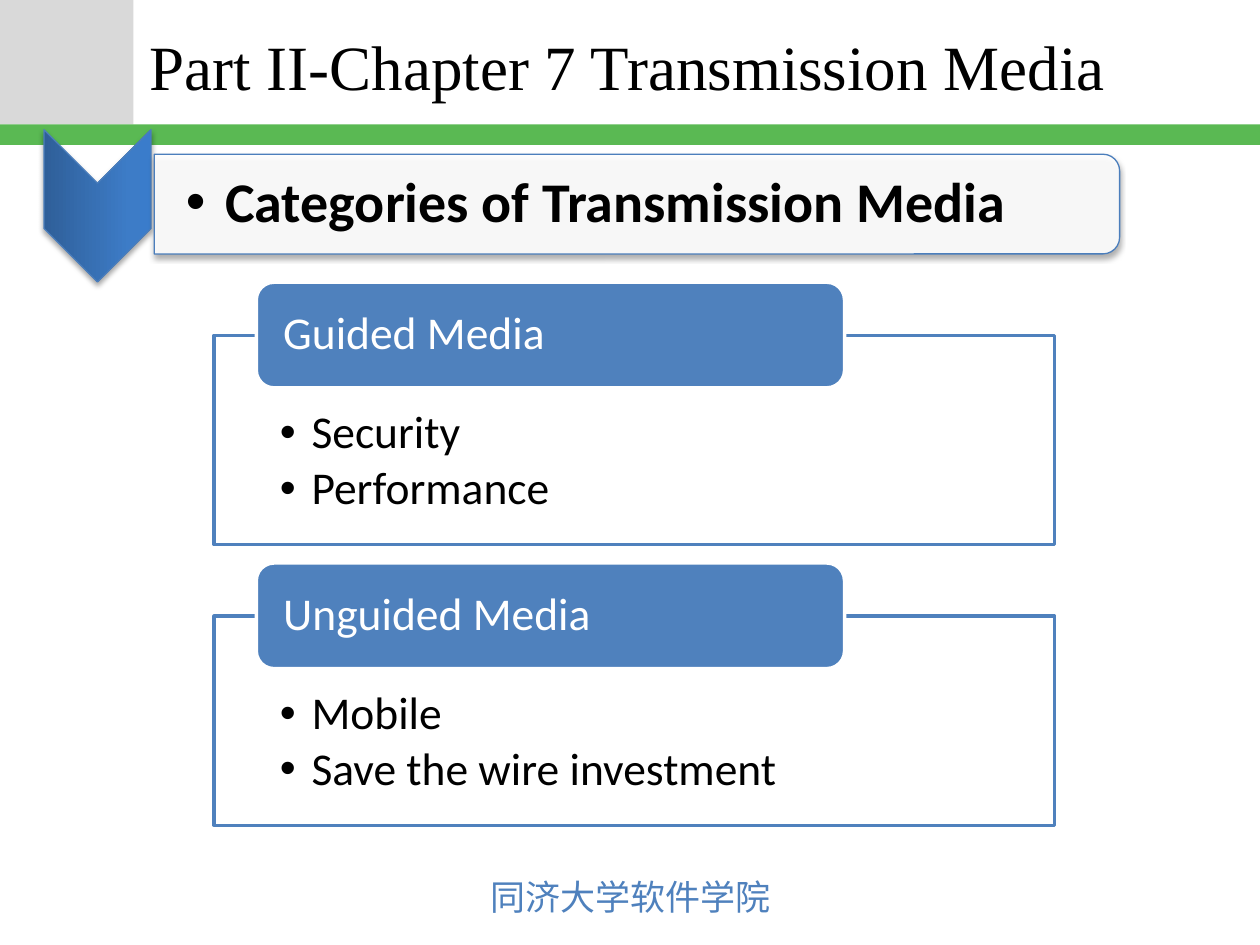
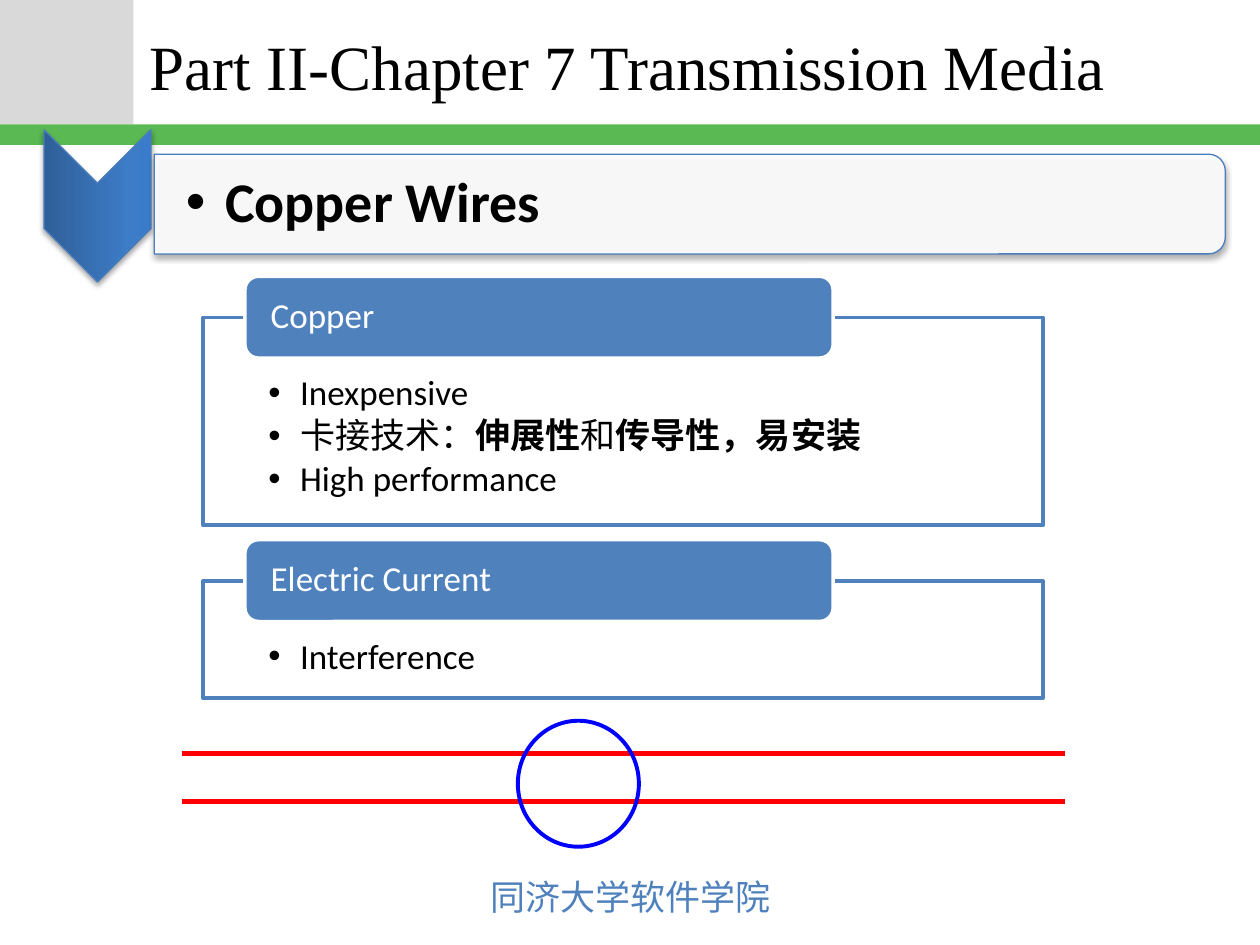
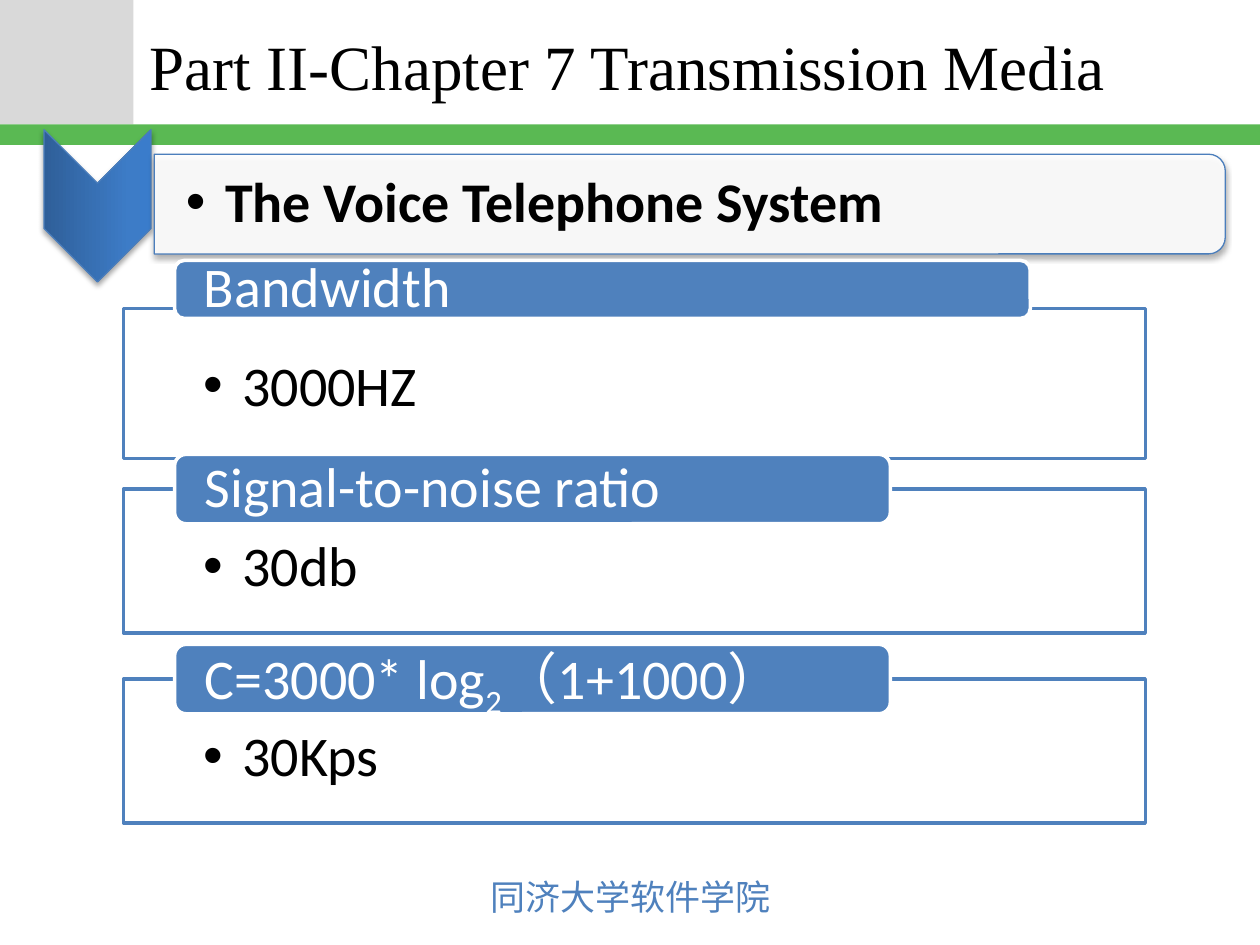
from copy import deepcopy

from lxml import etree
from pptx import Presentation
from pptx.dml.color import RGBColor
from pptx.enum.shapes import MSO_CONNECTOR, MSO_SHAPE
from pptx.enum.text import MSO_ANCHOR, MSO_AUTO_SIZE, PP_ALIGN
from pptx.oxml.ns import qn
from pptx.util import Cm, Pt

RECT = MSO_SHAPE.RECTANGLE
ROUND = MSO_SHAPE.ROUNDED_RECTANGLE
TAB = MSO_SHAPE.ROUND_2_SAME_RECTANGLE
CHEVRON = MSO_SHAPE.CHEVRON
OVAL = MSO_SHAPE.OVAL
STRAIGHT = MSO_CONNECTOR.STRAIGHT
LEFT, CENTER = PP_ALIGN.LEFT, PP_ALIGN.CENTER
TOP, MIDDLE = MSO_ANCHOR.TOP, MSO_ANCHOR.MIDDLE
FIXED = MSO_AUTO_SIZE.NONE

BLACK, WHITE = "000000", "FFFFFF"
GREY, GREEN = "D9D9D9", "5AB953"
BLUE, EDGE = "4F81BD", "4B7EBC"
WIRE, RING = "FF0000", "0000FF"
SHADES = ((0, "2F5F99"), (0.8, "3D7CC7"), (1, "3A7CCB"))
BODY, SERIF, HAN = "Calibri", "Times New Roman", "Noto Sans CJK JP"

TITLE = "Part II-Chapter 7 Transmission Media"
SCHOOL = "同济大学软件学院"


def color(code):
    return RGBColor.from_string(code)


def sub(parent, tag, **attrs):
    """Append an XML child with the given attributes."""
    node = etree.SubElement(parent, qn(tag))
    for key, value in attrs.items():
        node.set(key, str(value))
    return node


def draw(slide, kind, box, fill=None, line=None, width=2):
    shape = slide.shapes.add_shape(kind, *map(Cm, box))
    shape.shadow.inherit = False
    if fill:
        shape.fill.solid()
        shape.fill.fore_color.rgb = color(fill)
    else:
        shape.fill.background()
    if line:
        shape.line.color.rgb = color(line)
        shape.line.width = Pt(width)
    else:
        shape.line.fill.background()
    return shape


def veil(shape):
    """Make a solid fill 90 percent opaque."""
    fill = shape._element.spPr.find(qn("a:solidFill"))
    sub(fill[0], "a:alpha", val=90000)


def shade(shape):
    """Add a soft shadow that falls straight down."""
    effects = shape._element.spPr.find(qn("a:effectLst"))
    shadow = sub(effects, "a:outerShdw", blurRad=40000, dist=23000,
                 dir=5400000, rotWithShape=0)
    sub(sub(shadow, "a:srgbClr", val=BLACK), "a:alpha", val=35000)


def setup(frame, pads=(0, 0, 0, 0), anchor=TOP):
    frame.word_wrap = True
    frame.auto_size = FIXED
    frame.vertical_anchor = anchor
    (frame.margin_left, frame.margin_top,
     frame.margin_right, frame.margin_bottom) = map(Cm, pads)


def write(para, runs, size, tint=BLACK, face=BODY):
    """Add runs given as text or as (text, "bold" or "low")."""
    for item in runs:
        text, style = (item, "") if isinstance(item, str) else item
        run = para.add_run()
        run.text = text
        font = run.font
        font.size, font.name, font.bold = Pt(size), face, style == "bold"
        font.color.rgb = color(tint)
        props = run._r.get_or_add_rPr()
        sub(props, "a:ea", typeface=HAN)
        if style == "low":
            props.set("baseline", "-25000")


def bullets(frame, lines, size):
    hang = Cm(0.79 if size > 30 else 0.64)
    for i, runs in enumerate(lines):
        para = frame.paragraphs[0] if i == 0 else frame.add_paragraph()
        props = para._p.get_or_add_pPr()
        props.set("marL", str(hang))
        props.set("indent", str(-hang))
        sub(props, "a:buFont", typeface="Arial")
        sub(props, "a:buChar", char="•")
        para.alignment = LEFT
        para.line_spacing = 0.9
        para.space_after = Pt(0.15 * size)
        write(para, runs, size)


def frame_page(slide):
    """Bands, footer and title shared by every slide."""
    draw(slide, RECT, (0, 0, 2.69, 2.51), GREY)
    draw(slide, RECT, (0, 2.51, 25.4, 0.41), GREEN)

    foot = slide.shapes.add_textbox(*map(Cm, (9.6, 17.53, 6.22, 1.12)))
    foot.text_frame.word_wrap = False
    para = foot.text_frame.paragraphs[0]
    para.alignment = CENTER
    write(para, [SCHOOL], 20, BLUE, HAN)

    title = slide.shapes.title
    title.left, title.top, title.width, title.height = map(
        Cm, (2.77, 0.08, 20.93, 2.49))
    setup(title.text_frame, (0.25, 0.13, 0.25, 0.13), MIDDLE)
    para = title.text_frame.paragraphs[0]
    para.alignment = LEFT
    write(para, [TITLE], 36, BLACK, SERIF)


def arrow(slide, box):
    shape = draw(slide, CHEVRON, box, line=EDGE, width=0.75)
    shape.rotation = 90
    shape.fill.gradient()
    shape.fill.gradient_angle = 90
    stops = shape._element.spPr.find(".//" + qn("a:gsLst"))
    stops.append(deepcopy(stops[0]))
    for stop, (place, tint) in zip(shape.fill.gradient_stops, SHADES):
        stop.position = place
        stop.color.rgb = color(tint)
    shade(shape)


def banner(slide, text, wide):
    """Heading bar with its rounded end on the right."""
    arrow(slide, (0.43, 3.07, 3.07, 2.16))
    left, top, high = 3.11, 3.11, 2.01
    turn = (wide - high) / 2
    bar = draw(slide, TAB, (left + turn, top - turn, high, wide),
               WHITE, EDGE, 0.75)
    bar.rotation = 90
    veil(bar)
    shade(bar)
    label = slide.shapes.add_textbox(
        *map(Cm, (left, top + 0.1, wide - 0.1, high - 0.2)))
    setup(label.text_frame, (0.64, 0.05, 0.05, 0.05), MIDDLE)
    bullets(label.text_frame, [[(text, "bold")]], 32)


def panel(slide, box, tab, head, lines, size, pad):
    """Outlined list; tab is the rise, width and height of its head."""
    left, top, wide, _ = box
    side = 0.078 * wide
    body = draw(slide, RECT, box, WHITE, BLUE)
    veil(body)
    setup(body.text_frame, (side, pad, side, 0.5))
    bullets(body.text_frame, lines, size)

    rise, span, high = tab
    cap = draw(slide, ROUND, (left + 0.05 * wide, top - rise, span, high),
               BLUE, WHITE)
    inset = 0.026 * wide
    setup(cap.text_frame, (inset, 0, inset, 0), MIDDLE)
    para = cap.text_frame.paragraphs[0]
    para.alignment = LEFT
    para.line_spacing = 0.9
    write(para, head, size, WHITE)


def cable(slide, box):
    """Two parallel wires with a ring around them."""
    left, top, wide, high = box
    for drop in (0.66, 1.63):
        wire = slide.shapes.add_connector(
            STRAIGHT, Cm(left), Cm(top + drop), Cm(left + wide), Cm(top + drop))
        wire.line.color.rgb = color(WIRE)
        wire.line.width = Pt(3)
        sub(wire._element.spPr, "a:effectLst")
    draw(slide, OVAL, (left + 6.78, top, 2.44, high), line=RING, width=2.25)


def start(deck, text, wide):
    slide = deck.slides.add_slide(deck.slide_layouts[5])
    frame_page(slide)
    banner(slide, text, wide)
    return slide


def media(deck):
    slide = start(deck, "Categories of Transmission Media", 19.46)
    groups = (
        ("Guided Media", ("Security", "Performance")),
        ("Unguided Media", ("Mobile", "Save the wire investment")),
    )
    for i, (head, lines) in enumerate(groups):
        panel(slide, (4.32, 6.76 + 5.66 * i, 16.94, 4.22),
              (1.07, 11.86, 2.13), [head], [[line] for line in lines], 26, 1.5)


def copper(deck):
    slide = start(deck, "Copper Wires", 21.59)
    craft = ["卡接技术：", ("伸展性", "bold"), "和", ("传导性，易安装", "bold")]
    groups = (
        (6.4, 4.19, "Copper", [["Inexpensive"], craft, ["High performance"]]),
        (11.71, 2.36, "Electric Current", [["Interference"]]),
    )
    for top, high, head, lines in groups:
        panel(slide, (4.09, top, 16.94, high), (0.83, 11.86, 1.65),
              [head], lines, 20, 1.17)
    cable(slide, (3.66, 14.53, 17.81, 2.54))


def voice(deck):
    slide = start(deck, "The Voice Telephone System", 21.59)
    rate = ["C=3000* log", ("2", "low"), "（1+1000）"]
    short = (0.7, 14.43, 1.4)
    groups = (
        (6.22, 3.02, (0.97, 17.25, 1.17), ["Bandwidth"], "3000HZ"),
        (9.86, 2.9, short, ["Signal-to-noise ratio"], "30db"),
        (13.69, 2.9, short, rate, "30Kps"),
    )
    for top, high, tab, head, line in groups:
        panel(slide, (2.49, top, 20.6, high), tab, head, [[line]], 32, 0.99)


def main():
    deck = Presentation()
    deck.slide_width, deck.slide_height = Cm(25.4), Cm(19.05)
    media(deck)
    copper(deck)
    voice(deck)
    deck.save("out.pptx")


if __name__ == "__main__":
    main()
